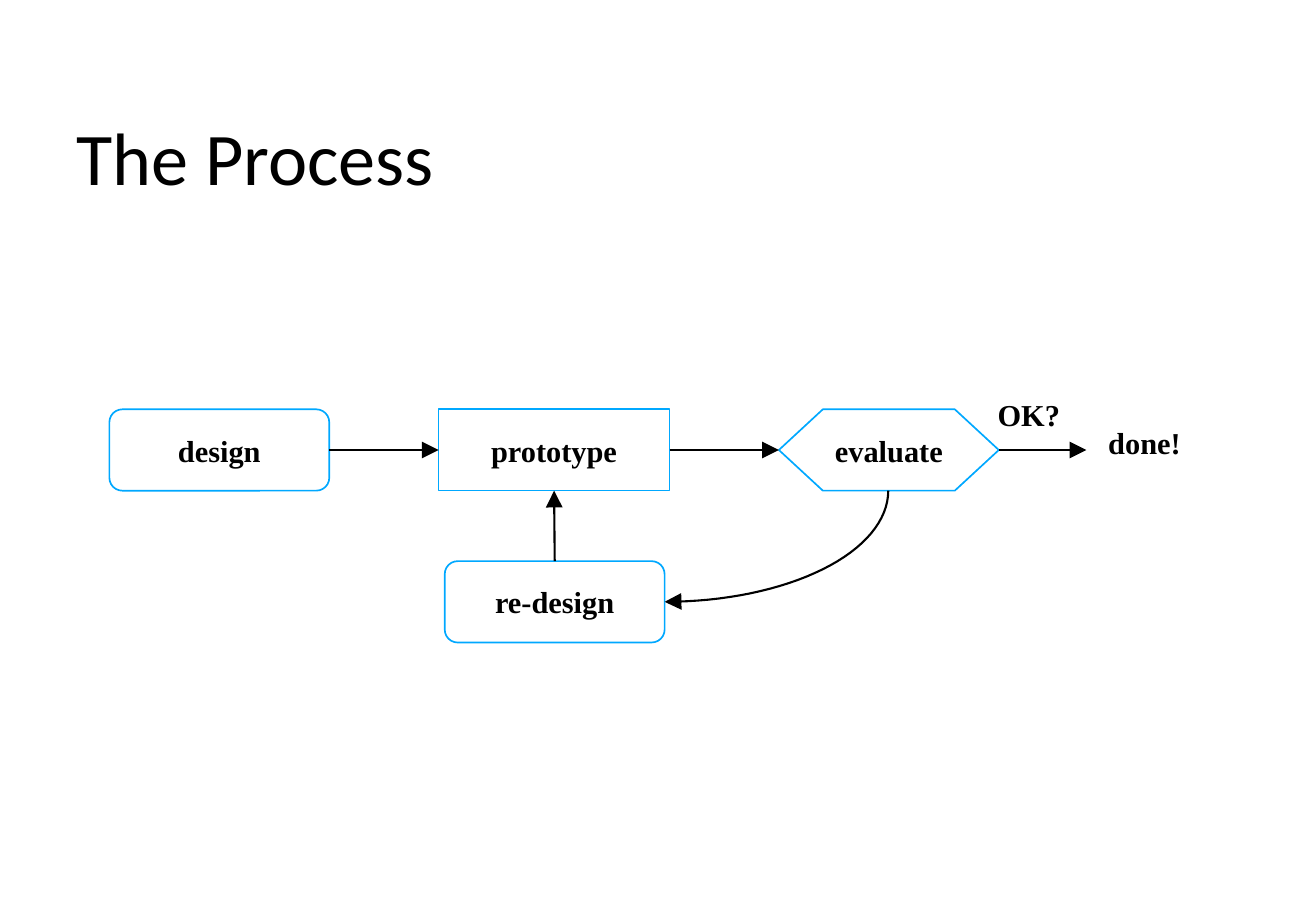
import math

from pptx import Presentation
from pptx import util as u
from pptx.dml import color
from pptx.enum import shapes, text
from pptx.oxml import ns, xmlchemy

PX = 9144
BLUE, BLACK = "00A8FF", "000000"
SERIF = "Times New Roman"
NODE_H = 67


def px(n):
    """Turn px into EMU."""
    return u.Emu(round(n * PX))


def rgb(value):
    """Turn a hex string into a colour."""
    return color.RGBColor.from_string(value)


def write(shape, words, size, font, bold, align, anchor, top=0):
    """Set one line of text in a shape."""
    tf = shape.text_frame
    tf.word_wrap = False
    tf.vertical_anchor = anchor
    tf.margin_left = tf.margin_right = tf.margin_bottom = 0
    tf.margin_top = px(top)
    p = tf.paragraphs[0]
    p.text = words
    p.alignment = align
    p.font.size = u.Pt(size)
    p.font.name = font
    p.font.bold = bold
    p.font.color.rgb = rgb(BLACK)


def title(s, x, y, w, h):
    """Place the slide title in the box."""
    tb = s.shapes.add_textbox(px(x), px(y), px(w), px(h))
    write(tb, "The Process", 44, "Calibri", False,
          text.PP_ALIGN.LEFT, text.MSO_ANCHOR.MIDDLE, 1)


def label(s, words, x, y, w, h=33):
    """Place a free label in the box."""
    tb = s.shapes.add_textbox(px(x), px(y), px(w), px(h))
    write(tb, words, 18, SERIF, True,
          text.PP_ALIGN.LEFT, text.MSO_ANCHOR.TOP, 1)


def node(s, kind, words, x, y, w, adjust=None):
    """Place an outlined step of the process."""
    sp = s.shapes.add_shape(kind, px(x), px(y), px(w), px(NODE_H))
    if adjust is not None:
        sp.adjustments[0] = adjust
    sp.shadow.inherit = False
    sp.fill.background()
    sp.line.color.rgb = rgb(BLUE)
    sp.line.width = u.Pt(1)
    write(sp, words, 18, SERIF, True,
          text.PP_ALIGN.CENTER, text.MSO_ANCHOR.MIDDLE)
    return sp


def arrow_line(line):
    """Style a line as a black arrow."""
    line.color.rgb = rgb(BLACK)
    line.width = u.Pt(1.25)
    head = xmlchemy.OxmlElement("a:tailEnd")
    for key, value in (("type", "triangle"), ("w", "lg"), ("len", "lg")):
        head.set(key, value)
    line._get_or_add_ln().append(head)


def arrow(s, x1, y1, x2, y2, begin=None, end=None):
    """Draw a straight arrow, joined to steps where given."""
    c = s.shapes.add_connector(shapes.MSO_CONNECTOR.STRAIGHT,
                               px(x1), px(y1), px(x2), px(y2))
    if begin:
        c.begin_connect(*begin)
    if end:
        c.end_connect(*end)
    arrow_line(c.line)
    c._element.find(ns.qn("p:spPr")).append(
        xmlchemy.OxmlElement("a:effectLst"))


def curved_arrow(s, x1, y1, x2, y2, steps=32):
    """Draw a quarter ellipse down and left, ending in an arrowhead."""
    angles = [math.pi / 2 * i / steps for i in range(steps + 1)]
    points = [(px(x2 + (x1 - x2) * math.cos(a)),
               px(y1 + (y2 - y1) * math.sin(a))) for a in angles]
    builder = s.shapes.build_freeform(*points[0])
    builder.add_line_segments(points[1:], close=False)
    sp = builder.convert_to_shape()
    sp.shadow.inherit = False
    sp.fill.background()
    arrow_line(sp.line)


def process(s, x, y):
    """Place the flow of steps, arrows and labels from its top left."""
    kinds = shapes.MSO_SHAPE
    mid, bottom, lower = y + NODE_H / 2, y + NODE_H, y + 125
    design = node(s, kinds.ROUNDED_RECTANGLE, "design", x, y, 181, 0.16)
    prototype = node(s, kinds.RECTANGLE, "prototype", x + 271, y, 190)
    node(s, kinds.HEXAGON, "evaluate", x + 551, y, 181, 0.54)
    redesign = node(s, kinds.ROUNDED_RECTANGLE, "re-design",
                    x + 276, lower, 181, 0.16)
    arrow(s, x + 181, mid, x + 271, mid, (design, 3), (prototype, 1))
    arrow(s, x + 461, mid, x + 551, mid, (prototype, 3))
    arrow(s, x + 366, lower, x + 366, bottom, (redesign, 0), (prototype, 2))
    arrow(s, x + 732, mid, x + 804, mid)
    curved_arrow(s, x + 641, bottom, x + 457, lower + NODE_H / 2)
    label(s, "done!", x + 822, y + 11, 62)
    label(s, "OK?", x + 731, y - 12, 54)


def main():
    """Build and save the slide."""
    prs = Presentation()
    prs.slide_width, prs.slide_height = px(1083), px(750)
    s = prs.slides.add_slide(prs.slide_layouts[6])
    title(s, 63, 90, 379, 75)
    process(s, 90, 337)
    prs.save("out.pptx")


if __name__ == "__main__":
    main()
